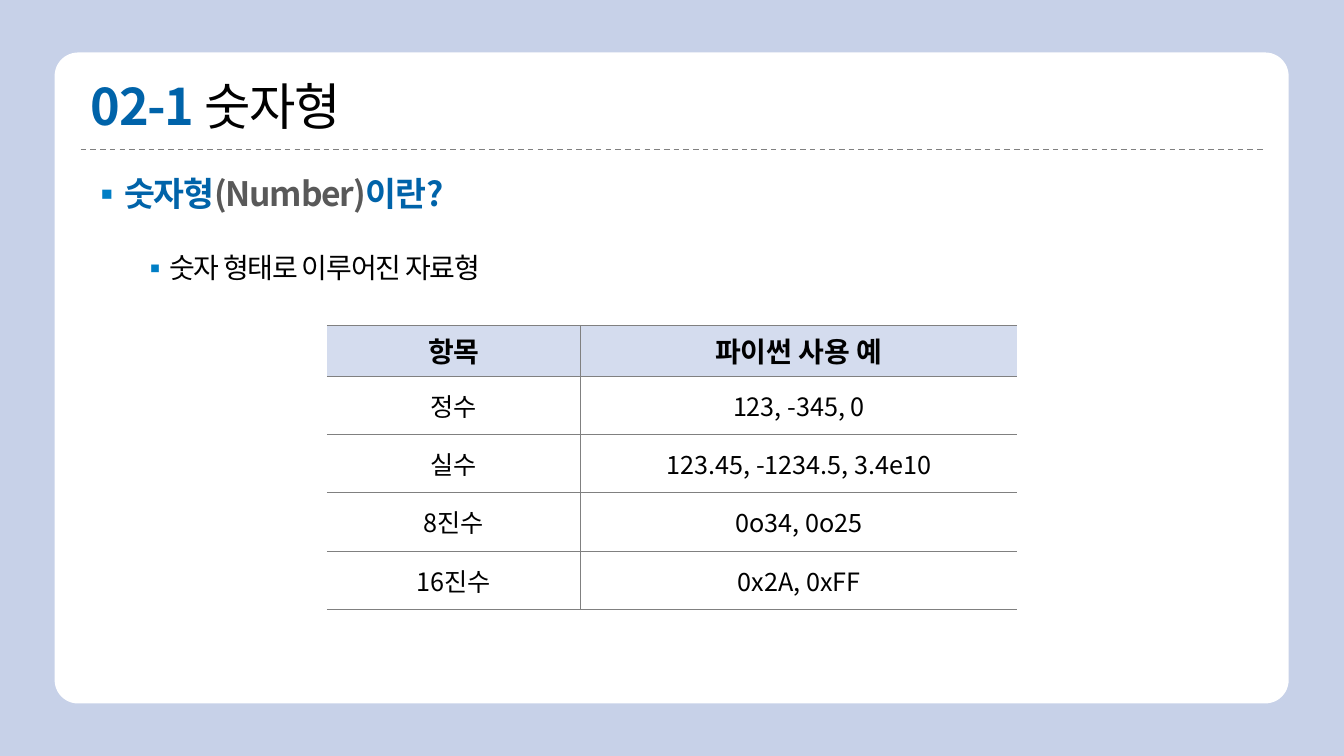
from lxml import etree
from pptx import Presentation
from pptx.dml.color import RGBColor
from pptx.enum.dml import MSO_LINE
from pptx.enum.shapes import MSO_CONNECTOR, MSO_SHAPE
from pptx.enum.text import MSO_ANCHOR as ANCHOR, MSO_AUTO_SIZE as AUTO, PP_ALIGN as ALIGN
from pptx.oxml import parse_xml
from pptx.oxml.ns import nsdecls, qn
from pptx.util import Pt

FONT = "Noto Sans CJK KR"
BACKDROP = RGBColor(0xC7, 0xD1, 0xE8)
HEADER = RGBColor(0xD4, 0xDC, 0xEE)
WHITE = RGBColor(0xFF, 0xFF, 0xFF)
BLACK = RGBColor(0, 0, 0)
BLUE = RGBColor(0x00, 0x63, 0xA9)
BULLET = RGBColor(0x00, 0x7E, 0xC5)
DARK_GRAY = RGBColor(0x59, 0x59, 0x59)
GRAY = RGBColor(0x80, 0x80, 0x80)


def add_run(p, text, size, color, bold, spacing=0):
    r = p.add_run()
    r.text = text
    r.font.name, r.font.size, r.font.bold = FONT, Pt(size), bold
    r.font.color.rgb = color
    rPr = r.font._element
    rPr.find(qn("a:latin")).addnext(
        parse_xml(f'<a:ea {nsdecls("a")} typeface="{FONT}"/>'))
    if spacing:
        rPr.set("spc", str(spacing))


def set_bullet(p, left):
    pPr = p._p.get_or_add_pPr()
    pPr.set("marL", str(Pt(left)))
    pPr.set("indent", str(Pt(-18)))
    color = etree.SubElement(pPr, qn("a:buClr"))
    etree.SubElement(color, qn("a:srgbClr")).set("val", str(BULLET))
    etree.SubElement(pPr, qn("a:buFont")).set("typeface", FONT)
    etree.SubElement(pPr, qn("a:buChar")).set("char", "▪")


prs = Presentation()
prs.slide_width, prs.slide_height = Pt(960), Pt(540)
s = prs.slides.add_slide(prs.slide_layouts[1])
s.background.fill.solid()
s.background.fill.fore_color.rgb = BACKDROP
title, body = s.placeholders

# White card, sent behind the placeholders
card = s.shapes.add_shape(MSO_SHAPE.ROUNDED_RECTANGLE, Pt(39), Pt(37.5), Pt(881.5), Pt(465))
card.adjustments[0] = 0.036
card.shadow.inherit = False
card.fill.solid()
card.fill.fore_color.rgb = WHITE
card.line.fill.background()
title._element.addprevious(card._element)

# Dashed rule under the title
rule = s.shapes.add_connector(MSO_CONNECTOR.STRAIGHT, Pt(57.6), Pt(107), Pt(902.4), Pt(107))
rule.line.color.rgb = GRAY
rule.line.width = Pt(1)
rule.line.dash_style = MSO_LINE.DASH
etree.SubElement(rule._element.spPr, qn("a:effectLst"))
title._element.addprevious(rule._element)

# Title
title.left, title.top, title.width, title.height = Pt(57.6), Pt(52.5), Pt(844.8), Pt(48.5)
tf = title.text_frame
tf.auto_size, tf.vertical_anchor = AUTO.NONE, ANCHOR.BOTTOM
p = tf.paragraphs[0]
p.alignment, p.line_spacing = ALIGN.LEFT, 0.9
add_run(p, "02-1 ", 36, BLUE, True, -100)
add_run(p, "숫자형", 36, BLACK, False, -100)

# Body list
body.left, body.top, body.width, body.height = Pt(57.6), Pt(123), Pt(844.8), Pt(361)
tf = body.text_frame
tf.auto_size = AUTO.NONE
p = tf.paragraphs[0]
p.line_spacing, p.space_before = 0.9, Pt(10)
set_bullet(p, 18)
for text, color in [("숫자형", BLUE), ("(Number)", DARK_GRAY), ("이란?", BLUE)]:
    add_run(p, text, 24, color, True, -90)
p = tf.add_paragraph()
p.level, p.line_spacing, p.space_before = 1, 0.9, Pt(29)
set_bullet(p, 54)
add_run(p, "숫자 형태로 이루어진 자료형", 20, BLACK, False, -90)

# Table of number kinds
ROWS = [
    ("항목", "파이썬 사용 예"),
    ("정수", "123, -345, 0"),
    ("실수", "123.45, -1234.5, 3.4e10"),
    ("8진수", "0o34, 0o25"),
    ("16진수", "0x2A, 0xFF"),
]
table = s.shapes.add_table(len(ROWS), 2, Pt(233.5), Pt(232.3), Pt(493), Pt(202.5)).table
table.first_row = table.horz_banding = False
table.columns[0].width, table.columns[1].width = Pt(181.5), Pt(311.5)
for i, row in enumerate(ROWS):
    header = i == 0
    table.rows[i].height = Pt(35.7 if header else 41.7)
    for j, text in enumerate(row):
        cell = table.cell(i, j)
        cell.vertical_anchor = ANCHOR.MIDDLE
        if header:
            cell.fill.solid()
            cell.fill.fore_color.rgb = HEADER
        else:
            cell.fill.background()
        p = cell.text_frame.paragraphs[0]
        p.alignment = ALIGN.CENTER
        add_run(p, text, 20 if header else 18, BLACK, header)
        # Borders: every side but the outer left and right
        outer = "LR"[j]
        for k, side in enumerate("LRTB"):
            paint = "<a:noFill/>" if side == outer else (
                f'<a:solidFill><a:srgbClr val="{GRAY}"/></a:solidFill>')
            cell._tc.get_or_add_tcPr().insert(k, parse_xml(
                f'<a:ln{side} {nsdecls("a")} w="{Pt(0.75)}">{paint}</a:ln{side}>'))

prs.save("out.pptx")
